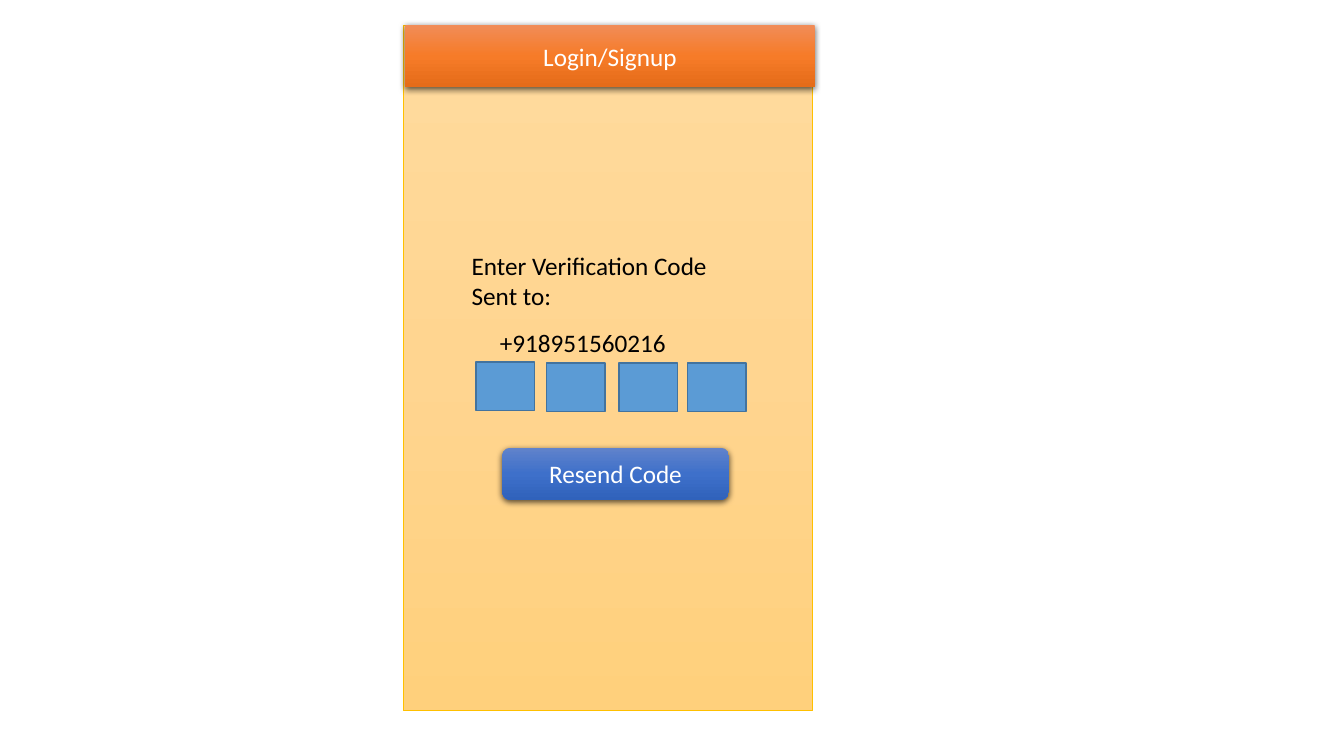
from copy import deepcopy

from lxml import etree
from pptx import Presentation
from pptx.dml.color import RGBColor
from pptx.enum.shapes import MSO_SHAPE
from pptx.enum.text import MSO_ANCHOR, MSO_AUTO_SIZE, PP_ALIGN
from pptx.oxml import parse_xml
from pptx.oxml.ns import nsdecls, qn
from pptx.util import Inches, Pt

RECT = MSO_SHAPE.RECTANGLE
ROUNDED = MSO_SHAPE.ROUNDED_RECTANGLE
MIDDLE = MSO_ANCHOR.MIDDLE
FIT_SHAPE = MSO_AUTO_SIZE.SHAPE_TO_FIT_TEXT
LEFT, CENTER = PP_ALIGN.LEFT, PP_ALIGN.CENTER

WHITE = RGBColor(0xFF, 0xFF, 0xFF)
BLACK = RGBColor(0x00, 0x00, 0x00)
GOLD = RGBColor(0xFF, 0xC0, 0x00)
BOX_BLUE = RGBColor(0x5B, 0x9B, 0xD5)
BOX_EDGE = RGBColor(0x43, 0x73, 0x9E)
SCREEN_COLORS = (RGBColor(0xFF, 0xDB, 0x9E), RGBColor(0xFF, 0xD5, 0x90), RGBColor(0xFF, 0xD0, 0x7C))
HEADER_COLORS = (RGBColor(0xF1, 0x8C, 0x57), RGBColor(0xF6, 0x7B, 0x28), RGBColor(0xE5, 0x6C, 0x19))
BUTTON_COLORS = (RGBColor(0x61, 0x83, 0xCB), RGBColor(0x3E, 0x70, 0xCA), RGBColor(0x30, 0x62, 0xBB))


class Screen:
    font = "Calibri"
    size = Pt(18)

    def __init__(self, slide):
        self.slide = slide

    def put_text(self, tf, text, color, align):
        tf.word_wrap = True
        p = tf.paragraphs[0]
        p.alignment = align
        r = p.add_run()
        r.text = text
        r.font.name = self.font
        r.font.size = self.size
        r.font.color.rgb = color

    def panel(self, kind, x, y, w, h, edge=None, edge_width=1):
        sp = self.slide.shapes.add_shape(kind, Inches(x), Inches(y), Inches(w), Inches(h))
        if edge is None:
            sp.line.fill.background()
        else:
            sp.line.color.rgb = edge
            sp.line.width = Pt(edge_width)
        sp.shadow.inherit = False
        return sp

    def box(self, x, y, w, h, color, edge):
        sp = self.panel(RECT, x, y, w, h, edge)
        sp.fill.solid()
        sp.fill.fore_color.rgb = color

    def gradient(self, sp, colors):
        sp.fill.gradient()
        sp.fill.gradient_angle = 270
        stops = sp._element.spPr.find(qn("a:gradFill")).find(qn("a:gsLst"))
        stops.append(deepcopy(stops[0]))
        for i, (stop, color) in enumerate(zip(sp.fill.gradient_stops, colors)):
            stop.position = i / 2
            stop.color.rgb = color

    def backdrop(self, x, y, w, h, colors, edge):
        self.gradient(self.panel(RECT, x, y, w, h, edge, 0.5), colors)

    def raised(self, kind, x, y, w, h, colors, text):
        sp = self.panel(kind, x, y, w, h)
        self.gradient(sp, colors)
        shadow = parse_xml(f'<a:outerShdw {nsdecls("a")} blurRad="{Pt(4.5)}" dist="{Pt(1.5)}" '
                           'dir="5400000" algn="ctr" rotWithShape="0"/>')
        tone = etree.SubElement(shadow, qn("a:srgbClr"), val=str(BLACK))
        etree.SubElement(tone, qn("a:alpha"), val="63000")
        sp._element.spPr.find(qn("a:effectLst")).append(shadow)
        sp.text_frame.vertical_anchor = MIDDLE
        self.put_text(sp.text_frame, text, WHITE, CENTER)

    def label(self, x, y, w, h, text):
        sp = self.slide.shapes.add_textbox(Inches(x), Inches(y), Inches(w), Inches(h))
        self.put_text(sp.text_frame, text, BLACK, LEFT)
        sp.text_frame.auto_size = FIT_SHAPE


prs = Presentation()
prs.slide_width = Inches(13.33)
prs.slide_height = Inches(7.5)
s = Screen(prs.slides.add_slide(prs.slide_layouts[6]))

s.backdrop(4, 0.25, 4.06, 6.8, SCREEN_COLORS, GOLD)
s.raised(RECT, 4.02, 0.25, 4.06, 0.61, HEADER_COLORS, "Login/Signup")
s.label(4.58, 2.43, 2.94, 0.71, "Enter Verification Code Sent to:")
s.label(4.86, 3.2, 2.38, 0.4, "+918951560216")
for x, y in ((4.72, 3.59), (5.42, 3.6), (6.14, 3.6), (6.82, 3.6)):
    s.box(x, y, 0.58, 0.48, BOX_BLUE, BOX_EDGE)
s.raised(ROUNDED, 4.98, 4.44, 2.25, 0.52, BUTTON_COLORS, "Resend Code")

prs.save("out.pptx")
